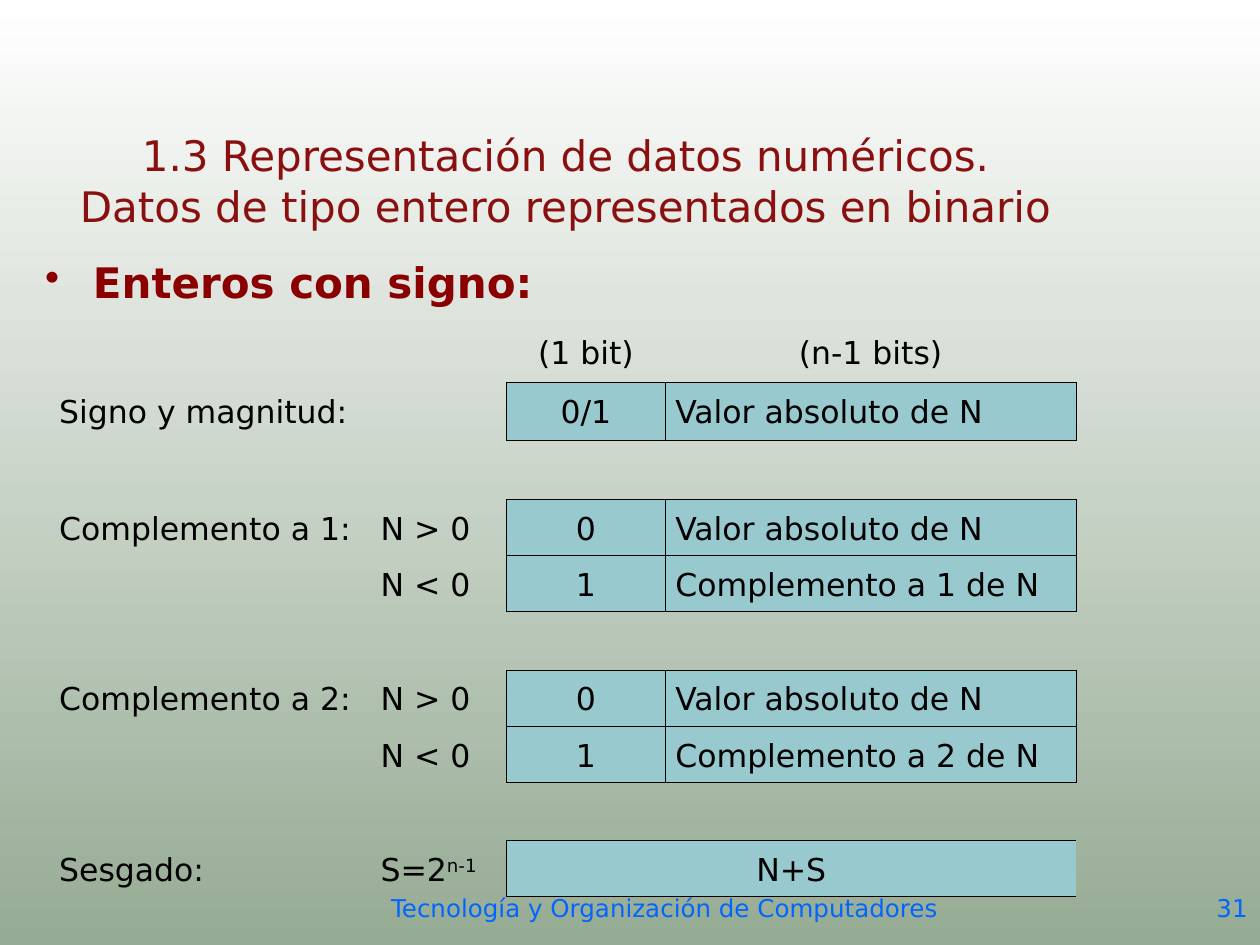
from dataclasses import dataclass
from itertools import product
from typing import NamedTuple

from lxml.etree import SubElement
from pptx import Presentation
from pptx.dml.color import RGBColor
from pptx.enum.text import MSO_ANCHOR, MSO_AUTO_SIZE, PP_ALIGN
from pptx.oxml.ns import qn
from pptx.shapes.base import BaseShape
from pptx.slide import Slide
from pptx.table import Table, _Cell
from pptx.text.text import _Paragraph
from pptx.util import Pt


@dataclass(frozen=True)
class Theme:
    """Colours, font and type sizes of the slide."""

    font: str = "DejaVu Sans"
    background_top: str = "FFFFFF"
    background_bottom: str = "96AB94"
    title: str = "8A1010"
    heading: str = "8A0000"
    body: str = "000000"
    footer: str = "0066FF"
    box: str = "98C9CF"
    border: str = "000000"
    heading_size: float = 24
    body_size: float = 18
    footer_size: float = 14
    border_width: float = 0.45


class Area(NamedTuple):
    """Position and size in points."""

    left: float
    top: float
    width: float
    height: float


class Box(NamedTuple):
    """Rows of the table that share one outlined box."""

    first_row: int
    last_row: int


THEME = Theme()
COLUMN_WIDTHS = (183.6, 77.76, 90.72, 234.72)
TABLE_AREA = Area(28.08, 185.04, sum(COLUMN_WIDTHS), 248.4)
BOX_COLUMNS = (2, 3)
BOXES = (Box(1, 1), Box(3, 4), Box(6, 7), Box(9, 9))
SUPERSCRIPT_MARK = "^"
EMPTY_ROW = ("", "", "", "")
NO_STYLE_NO_GRID = "{2D5ABB26-0587-4C30-8999-92F81FD0307C}"


def complement_rows(base: int) -> tuple[tuple[str, ...], ...]:
    """Return the two rows that describe one complement notation."""
    return (
        (f"Complemento a {base}:", "N > 0", "0", "Valor absoluto de N"),
        ("", "N < 0", "1", f"Complemento a {base} de N"),
    )


ROWS = (
    ("", "", "(1 bit)", "(n-1 bits)"),
    ("Signo y magnitud:", "", "0/1", "Valor absoluto de N"),
    EMPTY_ROW,
    *complement_rows(1),
    EMPTY_ROW,
    *complement_rows(2),
    EMPTY_ROW,
    ("Sesgado:", "S=2^n-1", "N+S", ""),
)


def format_paragraph(paragraph: _Paragraph, size: float, color: str,
                     align: PP_ALIGN, bold: bool = False) -> None:
    """Apply alignment and font to every run of a paragraph."""
    paragraph.alignment = align
    for run in paragraph.runs:
        run.font.name = THEME.font
        run.font.size = Pt(size)
        run.font.bold = bold
        run.font.color.rgb = RGBColor.from_string(color)


def place(shape: BaseShape, area: Area) -> None:
    """Move and size a shape."""
    shape.left, shape.top, shape.width, shape.height = map(Pt, area)


def add_text(slide: Slide, area: Area, text: str, size: float, color: str,
             align: PP_ALIGN, bold: bool = False) -> _Paragraph:
    """Add a wrapping text box and return its paragraph."""
    text_frame = slide.shapes.add_textbox(*map(Pt, area)).text_frame
    text_frame.word_wrap = True
    paragraph = text_frame.paragraphs[0]
    paragraph.text = text
    format_paragraph(paragraph, size, color, align, bold)
    return paragraph


def add_bullet(paragraph: _Paragraph, indent: float, color: str) -> None:
    """Give a paragraph a coloured bullet with a hanging indent."""
    properties = paragraph._p.get_or_add_pPr()
    properties.set("marL", str(Pt(indent)))
    properties.set("indent", str(-Pt(indent)))
    bullet_color = SubElement(properties, qn("a:buClr"))
    SubElement(bullet_color, qn("a:srgbClr"), val=color)
    SubElement(properties, qn("a:buChar"), char="•")


def set_title(slide: Slide) -> None:
    """Place and format the title placeholder."""
    title = slide.shapes.title
    place(title, Area(19.44, 72, 607.68, 61.92))
    text_frame = title.text_frame
    text_frame.auto_size = MSO_AUTO_SIZE.NONE
    text_frame.vertical_anchor = MSO_ANCHOR.MIDDLE
    paragraph = text_frame.paragraphs[0]
    paragraph.text = ("1.3 Representación de datos numéricos.\v"
                      "Datos de tipo entero representados en binario")
    format_paragraph(paragraph, THEME.heading_size, THEME.title, PP_ALIGN.CENTER)


def fill_cell(cell: _Cell, text: str, align: PP_ALIGN) -> None:
    """Write a cell, raising what follows the superscript mark."""
    cell.margin_left = cell.margin_right = Pt(5.76)
    cell.margin_top = cell.margin_bottom = Pt(3.6 if text else 5.9)
    cell.fill.background()
    if not text:
        return
    paragraph = cell.text_frame.paragraphs[0]
    base, _, exponent = text.partition(SUPERSCRIPT_MARK)
    paragraph.text = base
    if exponent:
        run = paragraph.add_run()
        run.text = exponent
        run._r.get_or_add_rPr().set("baseline", "30000")
    paragraph.line_spacing = 1.15
    format_paragraph(paragraph, THEME.body_size, THEME.body, align)


def add_border(cell: _Cell, side: str, position: int) -> None:
    """Add one border line to a cell, ahead of its fill."""
    properties = cell._tc.get_or_add_tcPr()
    line = SubElement(properties, qn(f"a:ln{side}"), w=str(Pt(THEME.border_width)))
    fill = SubElement(line, qn("a:solidFill"))
    SubElement(fill, qn("a:srgbClr"), val=THEME.border)
    properties.insert(position, line)


def draw_box(table: Table, box: Box) -> None:
    """Colour a block of cells and outline it."""
    first_column, last_column = BOX_COLUMNS
    for row, column in product(range(box.first_row, box.last_row + 1), BOX_COLUMNS):
        cell = table.cell(row, column)
        cell.fill.solid()
        cell.fill.fore_color.rgb = RGBColor.from_string(THEME.box)
        edges = {"L": column == first_column, "R": column == last_column,
                 "T": row == box.first_row, "B": row == box.last_row}
        sides = [side for side, is_edge in edges.items() if is_edge]
        for position, side in enumerate(sides):
            add_border(cell, side, position)


def add_notation_table(slide: Slide) -> None:
    """Add the table of signed integer notations."""
    table = slide.shapes.add_table(len(ROWS), len(COLUMN_WIDTHS), *map(Pt, TABLE_AREA)).table
    table.first_row = table.horz_banding = False
    table._tbl.tblPr.find(qn("a:tableStyleId")).text = NO_STYLE_NO_GRID
    for column, width in zip(table.columns, COLUMN_WIDTHS):
        column.width = Pt(width)
    for row, texts in enumerate(ROWS):
        for column, text in enumerate(texts):
            centered = column == 2 or row == 0
            fill_cell(table.cell(row, column), text,
                      PP_ALIGN.CENTER if centered else PP_ALIGN.LEFT)
    for box in BOXES:
        draw_box(table, box)
        if box.last_row > box.first_row:
            table.cell(box.first_row, 0).merge(table.cell(box.last_row, 0))
    last_row = len(ROWS) - 1
    table.cell(last_row, 2).merge(table.cell(last_row, 3))


def main() -> None:
    """Build and save the slide."""
    presentation = Presentation()
    presentation.slide_width, presentation.slide_height = Pt(720), Pt(540)
    slide = presentation.slides.add_slide(presentation.slide_layouts[5])
    background = slide.background.fill
    background.gradient()
    background.gradient_angle = 270
    for stop, color in zip(background.gradient_stops,
                           (THEME.background_top, THEME.background_bottom)):
        stop.color.rgb = RGBColor.from_string(color)
    set_title(slide)
    heading = add_text(slide, Area(18.72, 143.28, 607.68, 353.52), "Enteros con signo:",
                       THEME.heading_size, THEME.heading, PP_ALIGN.JUSTIFY, bold=True)
    add_bullet(heading, 27.36, THEME.heading)
    add_notation_table(slide)
    for area, text, align in (
        (Area(615.6, 506.88, 104.4, 33.12), "31", PP_ALIGN.RIGHT),
        (Area(151.92, 506.88, 455.76, 33.12),
         "Tecnología y Organización de Computadores", PP_ALIGN.CENTER),
    ):
        add_text(slide, area, text, THEME.footer_size, THEME.footer, align)
    presentation.save("out.pptx")


if __name__ == "__main__":
    main()
